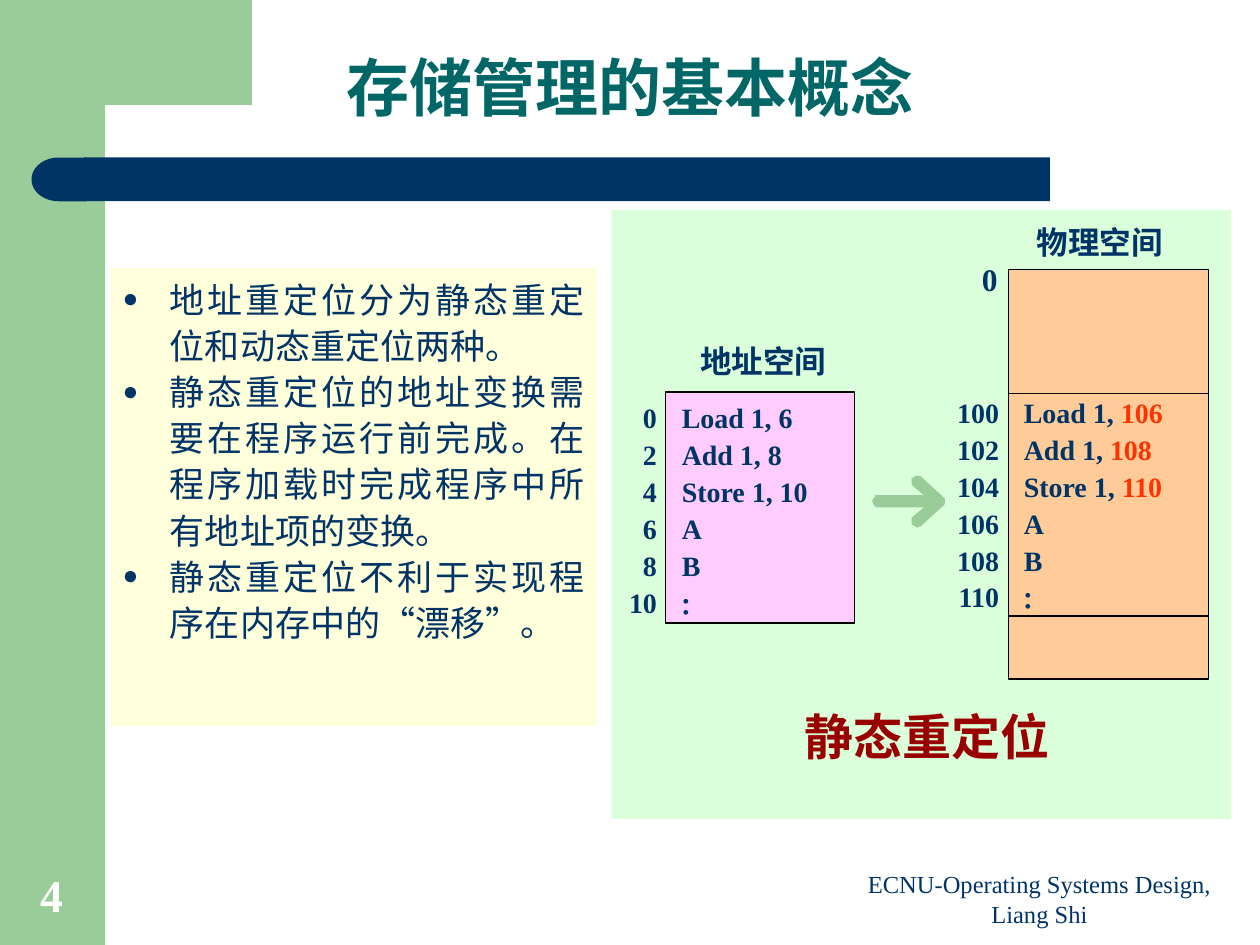
from math import cos, radians, sin

from lxml import etree
from pptx import Presentation
from pptx.dml.color import RGBColor
from pptx.enum.shapes import MSO_CONNECTOR, MSO_SHAPE
from pptx.enum.text import MSO_ANCHOR, MSO_AUTO_SIZE, PP_ALIGN
from pptx.oxml.ns import qn
from pptx.util import Pt

RECT, DELAY = MSO_SHAPE.RECTANGLE, MSO_SHAPE.FLOWCHART_DELAY
LINE = MSO_CONNECTOR.STRAIGHT
LEFT, MID, RIGHT = PP_ALIGN.LEFT, PP_ALIGN.CENTER, PP_ALIGN.RIGHT
JUST = PP_ALIGN.JUSTIFY
TOP, BOTTOM = MSO_ANCHOR.TOP, MSO_ANCHOR.BOTTOM
SANS, HAN, SERIF = "Arial", "Noto Sans CJK SC", "Times New Roman"
COLORS = {
    "green": "99CC99", "navy": "003366", "mint": "CCFFCC", "cream": "FFFFCC",
    "pink": "FFCCFF", "peach": "FFCC99", "teal": "006666", "maroon": "990000",
    "red": "FF3300", "black": "000000", "white": "FFFFFF",
}


def color(name):
    """Return the named colour."""
    return RGBColor.from_string(COLORS[name])


def paint(shape, fill, alpha=None, edge=None):
    """Set a flat fill, with an optional opacity and edge colour."""
    shape.shadow.inherit = False
    shape.fill.solid()
    shape.fill.fore_color.rgb = color(fill)
    if alpha:
        tone = shape.fill._xPr.find(qn("a:solidFill"))[0]
        etree.SubElement(tone, qn("a:alpha"), val=str(alpha * 1000))
    if edge:
        shape.line.color.rgb = color(edge)
        shape.line.width = Pt(0.75)
    else:
        shape.line.fill.background()


def block(slide, box, fill, alpha=None, edge=None, kind=RECT):
    """Add a filled preset shape."""
    shape = slide.shapes.add_shape(kind, *map(Pt, box))
    paint(shape, fill, alpha, edge)
    return shape


def rule(slide, x, y, wide):
    """Draw a thin level line."""
    line = slide.shapes.add_connector(LINE, Pt(x), Pt(y), Pt(x + wide), Pt(y))
    line.line.color.rgb = color("black")
    line.line.width = Pt(0.75)
    etree.SubElement(line._element.spPr, qn("a:effectLst"))


def bullet(para):
    """Give a paragraph a round bullet and a hanging indent."""
    props = para._p.get_or_add_pPr()
    props.set("marL", str(Pt(27)))
    props.set("indent", str(-Pt(27)))
    tone = etree.SubElement(props, qn("a:buClr"))
    etree.SubElement(tone, qn("a:srgbClr"), val=COLORS["navy"])
    etree.SubElement(props, qn("a:buSzPct"), val="75000")
    etree.SubElement(props, qn("a:buFont"), typeface=SERIF)
    etree.SubElement(props, qn("a:buChar"), char="●")


def write(shape, rows, size, face, tone="navy", bold=True, align=MID,
          space=1.0, anchor=TOP, dots=False):
    """Write rows of runs; the second run of a row is red."""
    frame = shape.text_frame
    frame.word_wrap = True
    frame.auto_size = MSO_AUTO_SIZE.NONE
    frame.vertical_anchor = anchor
    for i, row in enumerate(rows):
        para = frame.add_paragraph() if i else frame.paragraphs[0]
        para.alignment = align
        para.line_spacing = space
        para.space_before = Pt(0)
        if dots:
            bullet(para)
        for text, hue in zip(row, (tone, "red")):
            run = para.add_run()
            run.text = text
            font = run.font
            font.size, font.name, font.bold = Pt(size), face, bold
            font.color.rgb = color(hue)
            etree.SubElement(font._element, qn("a:ea"), typeface=HAN)


def label(slide, box, rows, size, face, **style):
    """Add a text box."""
    write(slide.shapes.add_textbox(*map(Pt, box)), rows, size, face, **style)


def frame(slide, wide, high):
    """Draw the side band and the title bar."""
    block(slide, (0, 0, 60, high), "green")
    block(slide, (36, 0, 108, 60), "green")
    block(slide, (48, 90, wide - 168, 25), "navy")
    block(slide, (18, 90, 31, 25), "navy", kind=DELAY).rotation = 180


def head(slide, box, text):
    """Place and fill the title."""
    title = slide.shapes.title
    title.left, title.top, title.width, title.height = map(Pt, box)
    write(title, [[text]], 36, HAN, "teal", space=0.9, anchor=BOTTOM)


def notes(slide, box, points):
    """Draw the panel of bullet points."""
    panel = block(slide, box, "cream", 70)
    write(panel, [[text] for text in points], 20, HAN, bold=False,
          align=JUST, space=1.1, dots=True)


def listing(slide, box, split, marks, code):
    """Set addresses beside lines of code, parted at split."""
    x, y, wide, high = box
    label(slide, (x, y, split, high), [[str(mark)] for mark in marks], 16,
          SERIF, align=RIGHT, space=1.1)
    label(slide, (x + split, y, wide - split, high), code, 16, SERIF,
          align=LEFT, space=1.1)


def logical(slide, box):
    """Draw the address space of the program."""
    x, y, wide, high = box
    block(slide, box, "pink", edge="black")
    label(slide, (x + 10.5, y - 32, 90, 29), [["地址空间"]], 18, SANS)
    code = [["Load 1, 6"], ["Add 1, 8"], ["Store 1, 10"], ["A"], ["B"], ["∶"]]
    listing(slide, (x - 31, y - 0.5, wide + 20, high + 2), 33,
            range(0, 12, 2), code)


def physical(slide, box):
    """Draw the physical space with the loaded program."""
    x, y, wide, high = box
    block(slide, box, "peach", edge="black")
    for drop in (71, 198):
        rule(slide, x, y + drop, wide)
    label(slide, (x + 3.5, y - 30, 97, 29), [["物理空间"]], 18, SANS)
    label(slide, (x - 23, y - 9, 24, 29), [["0"]], 18, SERIF)
    code = [["Load 1, ", "106"], ["Add 1, ", "108"], ["Store 1, ", "110"],
            ["A"], ["B"], ["∶"]]
    listing(slide, (x - 37.5, y + 66.5, wide + 36, 134), 39,
            range(100, 112, 2), code)


def arrow(slide, box):
    """Draw a right arrow with round ends."""
    x, y, wide, high = box
    r, half = 3.6, high / 2

    def arc(cx, cy, start, end):
        """List points along an arc."""
        return [(x + cx + r * cos(radians(a)), y + cy + r * sin(radians(a)))
                for a in range(start, end + 1, 15)]

    neck = wide - 12.5
    pts = arc(neck - 3.5, r, 135, 315) + arc(wide - r, half, -45, 45)
    pts += arc(neck - 3.5, high - r, 45, 225) + [(x + neck, y + half + r)]
    pts += arc(r, half, 90, 270) + [(x + neck, y + half - r)]
    path = slide.shapes.build_freeform(*pts[0], scale=Pt(1))
    path.add_line_segments(pts[1:])
    paint(path.convert_to_shape(), "green")


def diagram(slide, box):
    """Draw the static relocation panel."""
    x, y, wide, high = box
    block(slide, box, "mint", 70)
    label(slide, (x + 45, y + 280, 270, 41), [["静态重定位"]], 28, SANS,
          tone="maroon")
    logical(slide, (x + 31, y + 104, 108, 132))
    physical(slide, (x + 227, y + 34, 114, 234))
    arrow(slide, (x + 149, y + 151.5, 42, 30))


def foot(slide, box):
    """Write the page number and the credit."""
    x, y, wide, high = box
    label(slide, (x, y, 59, high - 4), [["4"]], 26, SERIF, tone="white",
          anchor=BOTTOM)
    label(slide, (x + wide - 240, y + 5, 228, high - 5),
          [["ECNU-Operating Systems Design, Liang Shi"]], 14, SERIF,
          bold=False, anchor=BOTTOM)


def main():
    """Build and save the slide."""
    deck = Presentation()
    deck.slide_width, deck.slide_height = Pt(720), Pt(540)
    slide = deck.slides.add_slide(deck.slide_layouts[5])
    frame(slide, 720, 540)
    diagram(slide, (349.5, 120, 354, 348))
    notes(slide, (63, 153, 278, 262), [
        "地址重定位分为静态重定位和动态重定位两种。",
        "静态重定位的地址变换需要在程序运行前完成。在程序加载时完成程序中所有地址项的变换。",
        "静态重定位不利于实现程序在内存中的“漂移”。",
    ])
    head(slide, (0, 21, 720, 54), "存储管理的基本概念")
    foot(slide, (0, 492, 720, 42))
    deck.save("out.pptx")


if __name__ == "__main__":
    main()
